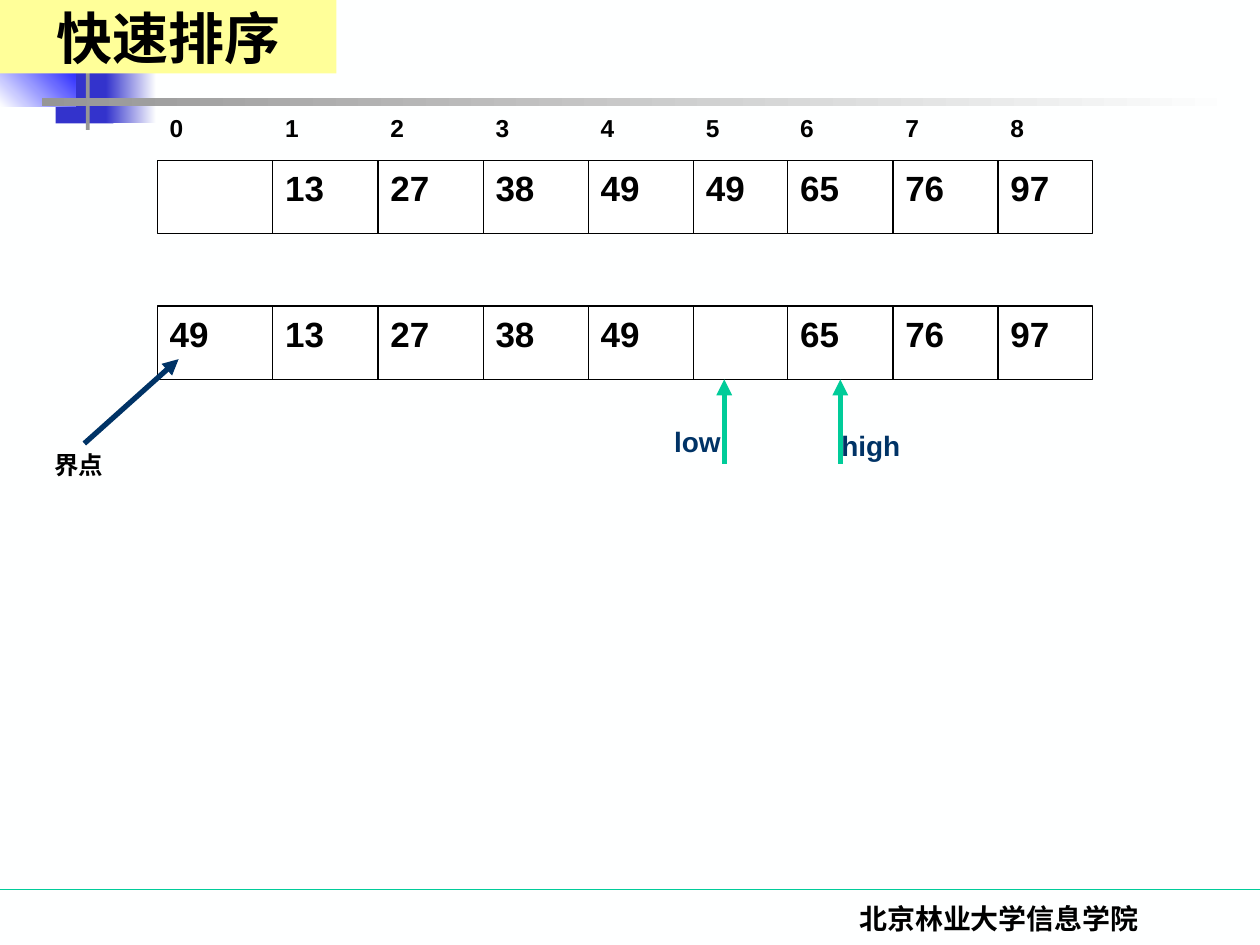
from itertools import accumulate

from lxml.etree import SubElement
from pptx import Presentation
from pptx.dml.color import RGBColor
from pptx.enum.shapes import MSO_CONNECTOR, MSO_SHAPE
from pptx.enum.text import MSO_ANCHOR, PP_ALIGN
from pptx.oxml.ns import qn
from pptx.util import Cm, Pt

# Content
TITLE = "快速排序"
FOOTER = "北京林业大学信息学院"
INDICES = "012345678"
ARRAYS = [
    (3.23, ["", "13", "27", "38", "49", "49", "65", "76", "97"]),
    (6.17, ["49", "13", "27", "38", "49", "", "65", "76", "97"]),
]
# Pointer name, arrow x, label left, label top
POINTERS = [("high", 16.94, 16.71, 8.51), ("low", 14.6, 13.34, 8.43)]
# Left, top, width, height, fill (a pair is a gradient), angle
DECORATIONS = [
    (1.12, 1.17, 1.17, 1.32, "3333CC", 0),
    (2.13, 1.17, 1.02, 1.32, ("3333CC", "FEFFFF"), 0),
    (0, 0.97, 1.52, 1.17, ("FEFFFF", "0000FF"), 45),
    (1.73, 0, 0.08, 2.62, "969696", 0),
    (0.84, 1.98, 24.16, 0.15, ("969696", "FEFFFF"), 0),
]

# Grid of array cells, in centimetres
COLUMN_WIDTHS = [2.33, 2.12, 2.12, 2.12, 2.12, 1.9, 2.12, 2.12, 1.9]
EDGES = list(accumulate(COLUMN_WIDTHS, initial=3.17))
ROW_HEIGHT = 1.48
ARRAY_WIDTH = EDGES[-1] - EDGES[0]
NAVY, GREEN, BLACK = "003366", "00CC99", "000000"


def color(value):
    return RGBColor.from_string(value)


def format_text(shape, text, size, font="Arial", ink=BLACK, align=PP_ALIGN.LEFT, tabs=()):
    frame = shape.text_frame
    frame.word_wrap = True
    frame.text = text
    paragraph = frame.paragraphs[0]
    paragraph.alignment = align
    if tabs:
        tab_list = SubElement(paragraph._p.get_or_add_pPr(), qn("a:tabLst"))
        for position in tabs:
            SubElement(tab_list, qn("a:tab"), pos=str(Cm(position)), algn="l")
    paragraph.font.name = font
    paragraph.font.size = Pt(size)
    paragraph.font.bold = True
    paragraph.font.color.rgb = color(ink)


def add_text(slide, left, top, width, height, text, size, **style):
    box = slide.shapes.add_textbox(Cm(left), Cm(top), Cm(width), Cm(height))
    format_text(box, text, size, **style)


def add_rectangle(slide, left, top, width, height, fill, angle=0, line=None):
    shape = slide.shapes.add_shape(
        MSO_SHAPE.RECTANGLE, Cm(left), Cm(top), Cm(width), Cm(height))
    shape.shadow.inherit = False
    if isinstance(fill, tuple):
        shape.fill.gradient()
        shape.fill.gradient_angle = angle
        for stop, position, value in zip(shape.fill.gradient_stops, (0, 1), fill):
            stop.position = position
            stop.color.rgb = color(value)
    else:
        shape.fill.solid()
        shape.fill.fore_color.rgb = color(fill)
    if line:
        shape.line.color.rgb = color(line)
        shape.line.width = Pt(0.75)
    else:
        shape.line.fill.background()


def add_line(slide, x1, y1, x2, y2, ink, width=0.75, arrow=False):
    line = slide.shapes.add_connector(
        MSO_CONNECTOR.STRAIGHT, Cm(x1), Cm(y1), Cm(x2), Cm(y2))
    line.line.color.rgb = color(ink)
    line.line.width = Pt(width)
    if arrow:
        SubElement(line.line._get_or_add_ln(), qn("a:tailEnd"), type="triangle")
    SubElement(line._element.spPr, qn("a:effectLst"))


def add_array(slide, top, values):
    add_rectangle(slide, EDGES[0], top, ARRAY_WIDTH, ROW_HEIGHT, "FFFFFF", line=BLACK)
    for edge in EDGES[1:-1]:
        add_line(slide, edge, top, edge, top + ROW_HEIGHT, BLACK)
    for left, value in zip(EDGES, values):
        if value:
            add_text(slide, left, top, 1.69, 1.11, value, 20)


def main():
    presentation = Presentation()
    presentation.slide_width, presentation.slide_height = Cm(25.4), Cm(19.05)
    slide = presentation.slides.add_slide(presentation.slide_layouts[5])
    slide.background.fill.solid()
    slide.background.fill.fore_color.rgb = color("FEFFFF")

    # Frame of the slide
    add_line(slide, 0, 17.93, 25.4, 17.93, GREEN)
    for decoration in DECORATIONS:
        add_rectangle(slide, *decoration)
    add_text(slide, 14.88, 18.05, 10.52, 1.0, FOOTER, 16,
             font="Times New Roman", align=PP_ALIGN.CENTER)

    # Arrays, with an index above each column
    for top, values in ARRAYS:
        add_array(slide, top, values)
    add_text(slide, EDGES[0], 2.16, ARRAY_WIDTH, 0.86, "\t".join(INDICES), 14,
             tabs=[edge - EDGES[0] for edge in EDGES[1:-1]])

    # Pointers and pivot
    array_bottom = ARRAYS[-1][0] + ROW_HEIGHT
    for name, x, left, top in POINTERS:
        add_line(slide, x, 9.35, x, array_bottom, GREEN, 3, arrow=True)
        add_text(slide, left, top, 2.33, 0.94, name, 16, ink=NAVY)
    add_text(slide, 0.84, 8.94, 2.12, 0.86, "界点", 14)
    add_line(slide, 1.7, 8.94, 3.6, 7.24, NAVY, 3, arrow=True)

    # Title, in front of the decorations
    title = slide.shapes.title
    title.left, title.top, title.width, title.height = Cm(0), Cm(0), Cm(6.78), Cm(1.48)
    title.fill.solid()
    title.fill.fore_color.rgb = color("FFFF99")
    title.text_frame.vertical_anchor = MSO_ANCHOR.MIDDLE
    format_text(title, TITLE, 32, font="Times New Roman", align=PP_ALIGN.CENTER)
    slide.shapes._spTree.append(title._element)

    presentation.save("out.pptx")


if __name__ == "__main__":
    main()
